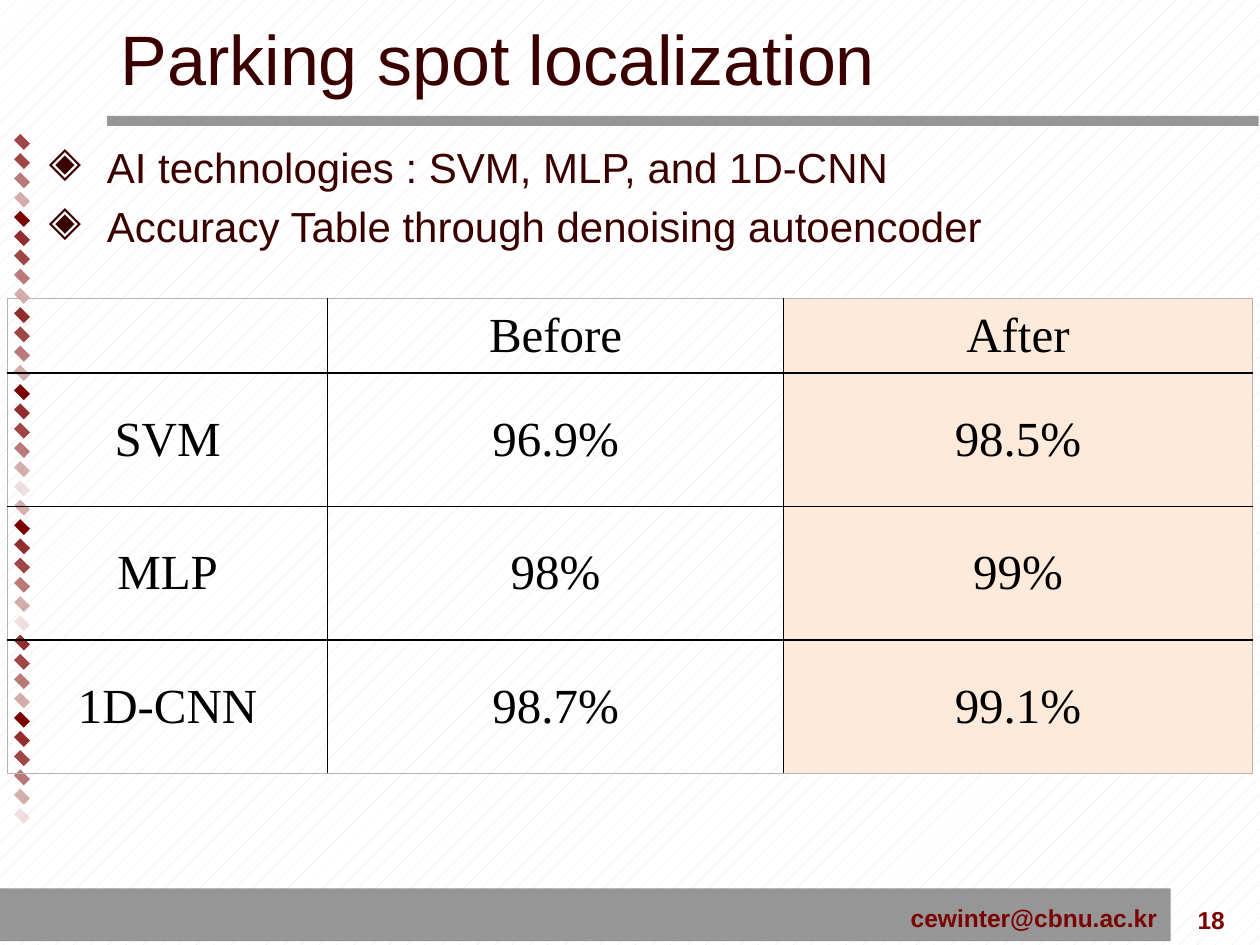
from lxml.etree import SubElement
from pptx import Presentation
from pptx.dml.color import RGBColor
from pptx.enum.dml import MSO_PATTERN
from pptx.enum.shapes import MSO_SHAPE
from pptx.enum.text import MSO_ANCHOR as Anchor, PP_ALIGN as Align
from pptx.oxml.ns import qn
from pptx.util import Inches, Pt

TITLE = "Parking spot localization"
BULLETS = [
    "AI technologies : SVM, MLP, and 1D-CNN",
    "Accuracy Table through denoising autoencoder",
]
ACCURACY = [
    ("", "Before", "After"),
    ("SVM", "96.9%", "98.5%"),
    ("MLP", "98%", "99%"),
    ("1D-CNN", "98.7%", "99.1%"),
]
CONTACT = "cewinter@cbnu.ac.kr"
PAGE_NUMBER = "18"
DIAMOND_RUNS = [
    (72,),
    (72, 52, 32),
    (100, 82, 72, 52, 32),
    (82, 72, 52, 32),
    (100, 82, 72, 52, 32, 12, 32),
    (100, 82, 72, 52, 32, 12),
    (82, 72, 52, 32),
    (100, 82, 72, 52, 32, 12),
]

WIDTH, HEIGHT = 10, 7.5
COLUMNS = [2.54, 3.62, 3.72]
ROWS = [0.59, 1.06, 1.06, 1.06]
DIAMOND_TOP, DIAMOND_BOTTOM = 1.07, 6.42
INDENT = Inches(0.46)

WHITE = RGBColor(0xFF, 0xFF, 0xFF)
BLACK = RGBColor(0, 0, 0)
PINK = RGBColor(0xE9, 0xDB, 0xDC)
GREY = RGBColor(0x96, 0x96, 0x96)
EDGE = RGBColor(0xB4, 0xB4, 0xB4)
RED = RGBColor(0x7B, 0, 0)
MAROON = RGBColor(0x3A, 0, 0)
PEACH = RGBColor(0xFD, 0xEA, 0xDA)


def add_rectangle(page, left, top, width, height, color):
    shape = page.shapes.add_shape(
        MSO_SHAPE.RECTANGLE, *map(Inches, (left, top, width, height)))
    shape.shadow.inherit = False
    shape.line.fill.background()
    shape.fill.solid()
    shape.fill.fore_color.rgb = color
    return shape


def style(para, size, color, font="Arial", bold=False):
    for span in para.runs:
        span.font.size = Pt(size)
        span.font.name = font
        span.font.bold = bold
        span.font.color.rgb = color


def add_text(page, place, lines, size, color, bold=False, wrap=True,
             anchor=Anchor.TOP, align=Align.LEFT):
    box = page.shapes.add_textbox(*map(Inches, place))
    frame = box.text_frame
    frame.text = "\n".join(lines)
    frame.word_wrap = wrap
    frame.vertical_anchor = anchor
    for para in frame.paragraphs:
        para.alignment = align
        style(para, size, color, bold=bold)
    return frame


def add_diamonds(page):
    opacities = [value for run in DIAMOND_RUNS for value in run]
    step = (DIAMOND_BOTTOM - DIAMOND_TOP) / (len(opacities) - 1)
    for index, opacity in enumerate(opacities):
        diamond = add_rectangle(
            page, 0.14, DIAMOND_TOP + index * step, 0.07, 0.11, RED)
        diamond.rotation = 315
        if opacity < 100:
            color = diamond.fill._xPr.find(".//" + qn("a:srgbClr"))
            SubElement(color, qn("a:alpha"), val=str(opacity * 1000))


def add_bullets(frame):
    for index, para in enumerate(frame.paragraphs):
        if index:
            para.space_before = Pt(5)
        props = para._p.get_or_add_pPr()
        props.set("marL", str(INDENT))
        props.set("indent", str(-INDENT))
        SubElement(props, qn("a:buChar"), char="◈")


def set_borders(cell, edges):
    props = cell._tc.get_or_add_tcPr()
    for position, (side, outer) in enumerate(edges.items()):
        line = props.makeelement(qn("a:" + side), {"w": str(Pt(1))})
        props.insert(position, line)
        fill = SubElement(line, qn("a:solidFill"))
        SubElement(fill, qn("a:srgbClr"), val=str(EDGE if outer else BLACK))


def add_accuracy_table(page):
    last_row, last_column = len(ROWS) - 1, len(COLUMNS) - 1
    table = page.shapes.add_table(
        len(ROWS), len(COLUMNS), Inches(0.06), Inches(2.37),
        Inches(sum(COLUMNS)), Inches(sum(ROWS))).table
    table.first_row = table.horz_banding = False
    for column, width in zip(table.columns, COLUMNS):
        column.width = Inches(width)
    for row, height in zip(table.rows, ROWS):
        row.height = Inches(height)
    for r, values in enumerate(ACCURACY):
        for c, value in enumerate(values):
            cell = table.cell(r, c)
            cell.text = value
            cell.vertical_anchor = Anchor.MIDDLE
            para = cell.text_frame.paragraphs[0]
            para.alignment = Align.CENTER
            style(para, 28, BLACK, "Times New Roman")
            if c == last_column:
                cell.fill.solid()
                cell.fill.fore_color.rgb = PEACH
            else:
                cell.fill.background()
            set_borders(cell, {"lnL": c == 0, "lnR": c == last_column,
                               "lnT": r == 0, "lnB": r == last_row})


def main():
    deck = Presentation()
    deck.slide_width, deck.slide_height = Inches(WIDTH), Inches(HEIGHT)
    page = deck.slides.add_slide(deck.slide_layouts[6])

    backdrop = add_rectangle(page, 0, 0, WIDTH, HEIGHT, WHITE)
    backdrop.fill.patterned()
    backdrop.fill.pattern = MSO_PATTERN.PERCENT_5
    backdrop.fill.fore_color.rgb = PINK
    backdrop.fill.back_color.rgb = WHITE
    add_rectangle(page, 0, 7.05, 9.29, 0.42, GREY)
    add_rectangle(page, 0.85, 0.92, 9.14, 0.08, GREY)
    add_text(page, (7.13, 7.12, 2.17, 0.34), [CONTACT], 14, RED,
             bold=True, wrap=False)
    add_text(page, (9.35, 7.14, 0.47, 0.32), [PAGE_NUMBER], 14, RED,
             bold=True, anchor=Anchor.MIDDLE, align=Align.RIGHT)
    add_diamonds(page)
    add_bullets(add_text(page, (0.29, 1.07, 9.66, 5.91), BULLETS, 24, MAROON))
    add_text(page, (0.86, 0.07, 8.96, 0.77), [TITLE], 40, MAROON,
             anchor=Anchor.MIDDLE)
    add_accuracy_table(page)
    deck.save("out.pptx")


if __name__ == "__main__":
    main()
